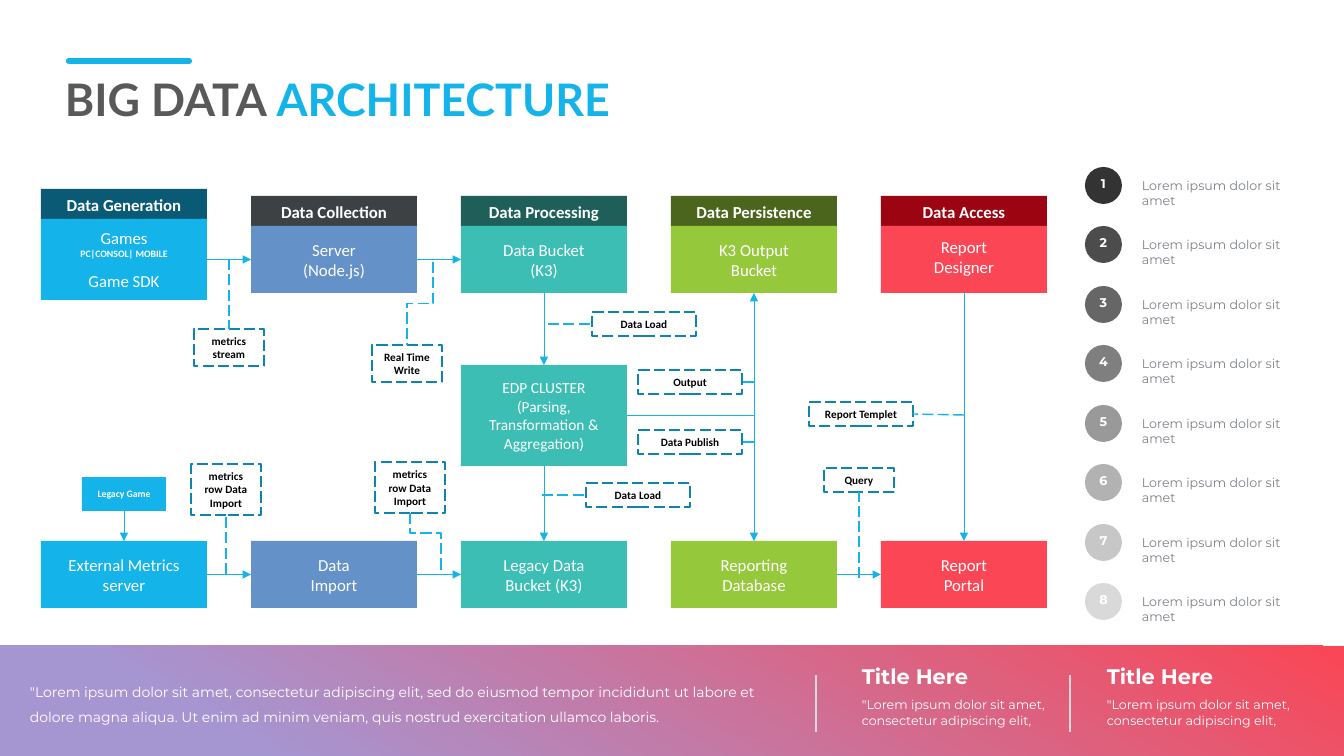
from dataclasses import dataclass

from lxml import etree
from pptx import Presentation
from pptx.dml.color import RGBColor
from pptx.enum.dml import MSO_LINE
from pptx.enum.shapes import MSO_CONNECTOR, MSO_SHAPE
from pptx.enum.text import MSO_ANCHOR, PP_ALIGN
from pptx.oxml.ns import qn
from pptx.util import Pt

RECT, OVAL = MSO_SHAPE.RECTANGLE, MSO_SHAPE.OVAL
STRAIGHT, ELBOW = MSO_CONNECTOR.STRAIGHT, MSO_CONNECTOR.ELBOW
LEFT, CENTER = PP_ALIGN.LEFT, PP_ALIGN.CENTER
MIDDLE = MSO_ANCHOR.MIDDLE
LONG_DASH = MSO_LINE.LONG_DASH
TOP_SIDE, LEFT_SIDE, BOTTOM_SIDE, RIGHT_SIDE = range(4)
EMU_PER_PX = 914400 / 100.8


@dataclass(frozen=True)
class Theme:
    heading: str = "Lato"
    diagram: str = "Calibri"
    body: str = "Montserrat"
    white: str = "FFFFFF"
    black: str = "000000"
    blue: str = "14B4EB"
    label_edge: str = "0F85AE"
    title_grey: str = "595959"
    list_grey: str = "7D8287"
    divider: str = "D9D9D9"
    red: str = "FA4655"
    lilac: str = "A596D2"
    title_size: int = 32
    footer_title: int = 15
    box_size: int = 12
    cluster_size: int = 11
    quote_size: int = 10
    small: int = 9
    label_size: int = 8
    tiny: int = 7


T = Theme()

# title, header colour, box colour, upper box, lower box
STAGES = [
    ("Data Generation", "0A5A76", T.blue, "Games\nPC|CONSOL| MOBILE\nGame SDK", "External Metrics server"),
    ("Data Collection", "3E4144", "6491C8", "Server\v(Node.js)", "Data\vImport"),
    ("Data Processing", "1E5F5A", "3CBEB4", "Data Bucket\v(K3)", "Legacy Data\vBucket (K3)"),
    ("Data Persistence", "4B651D", "96C83C", "K3 Output\vBucket", "Reporting\vDatabase"),
    ("Data Access", "9C0411", T.red, "Report\vDesigner", "Report\vPortal"),
]
# text, left, top, width, height, side the leader leaves from, far end of the leader
LABELS = [
    ("metrics\vstream", 194, 329, 70, 37, TOP_SIDE, (229, 259)),
    ("metrics\vrow Data Import", 191, 464, 70, 51, BOTTOM_SIDE, (226, 574)),
    ("Query", 824, 468, 70, 24, BOTTOM_SIDE, (859, 578)),
    ("Report Templet", 809, 402, 104, 24, RIGHT_SIDE, (964, 415)),
    ("Data Load", 592, 312, 104, 24, LEFT_SIDE, (548, 324)),
    ("Data Load", 586, 483, 104, 24, LEFT_SIDE, (542, 495)),
    ("Output", 638, 370, 104, 24, RIGHT_SIDE, (754, 382)),
    ("Data Publish", 638, 430, 104, 24, RIGHT_SIDE, (754, 442)),
]
CIRCLE_OPACITY = [80, 70, 60, 50, 40, 30, 22, 15]


def px(n):
    return round(n * EMU_PER_PX)


def rgb(color):
    return RGBColor.from_string(color)


def style_runs(p, size, color, font, bold=False):
    for r in p.runs:
        r.font.size, r.font.name, r.font.bold = Pt(size), font, bold
        r.font.color.rgb = rgb(color)


def add_text(slide, text, x, y, w, h, size, color, font=T.body, bold=False, spacing=None):
    tf = slide.shapes.add_textbox(px(x), px(y), px(w), px(h)).text_frame
    tf.word_wrap = True
    tf.text = text
    p = tf.paragraphs[0]
    p.alignment = LEFT
    p.line_spacing = spacing
    style_runs(p, size, color, font, bold)
    return p


def add_block(slide, x, y, w, h, fill=None, shape=RECT):
    sp = slide.shapes.add_shape(shape, px(x), px(y), px(w), px(h))
    sp.shadow.inherit = False
    sp.line.fill.background()
    if fill:
        sp.fill.solid()
        sp.fill.fore_color.rgb = rgb(fill)
    else:
        sp.fill.background()
    return sp


def fill_text(sp, text, size, color=T.white, font=T.diagram, bold=False, inset=0, lift=0):
    """Centre text in a shape, raised by lift px."""
    tf = sp.text_frame
    tf.word_wrap, tf.vertical_anchor = True, MIDDLE
    tf.margin_left = tf.margin_right = px(inset)
    tf.margin_top, tf.margin_bottom = px(max(0, -2 * lift)), px(max(0, 2 * lift))
    tf.text = text
    for p in tf.paragraphs:
        p.alignment = CENTER
        style_runs(p, size, color, font, bold)


def add_line(slide, start, end, color=T.blue, width=1, dash=None, kind=STRAIGHT):
    c = slide.shapes.add_connector(kind, *map(px, start + end))
    c.line.color.rgb, c.line.width = rgb(color), Pt(width)
    if dash:
        c.line.dash_style = dash
    etree.SubElement(c._element.spPr, qn("a:effectLst"))
    return c


def add_arrow(slide, source, side, target, target_side, kind=STRAIGHT):
    c = add_line(slide, (0, 0), (0, 0), width=0.5, kind=kind)
    c.begin_connect(source, side)
    c.end_connect(target, target_side)
    etree.SubElement(c.line._get_or_add_ln(), qn("a:tailEnd"), type="triangle")
    if kind == ELBOW:
        c._element.spPr.find(qn("a:prstGeom")).set("prst", "bentConnector2")


def add_step_leader(slide, start, end, bend):
    """Dashed leader running down, across at the bend (a share of the drop), then down."""
    (x1, y1), (x2, y2) = start, end
    run, drop = abs(x2 - x1), y2 - y1
    left, top = (x1 + x2 - drop) / 2, (y1 + y2 - run) / 2
    c = add_line(slide, (left, top), (left + drop, top + run), dash=LONG_DASH, kind=ELBOW)
    xfrm = c._element.spPr.find(qn("a:xfrm"))
    xfrm.set("rot", str((270 if x2 > x1 else 90) * 60000))
    if x2 > x1:
        xfrm.set("flipH", "1")
    guides = c._element.spPr.find(qn("a:prstGeom")).find(qn("a:avLst"))
    etree.SubElement(guides, qn("a:gd"), name="adj1", fmla=f"val {round(bend * 100000)}")


def add_label(slide, text, x, y, w, h):
    sp = add_block(slide, x, y, w, h)
    sp.line.color.rgb, sp.line.width = rgb(T.label_edge), Pt(1)
    sp.line.dash_style = LONG_DASH
    fill_text(sp, text, T.label_size, T.black, bold=True, inset=10)
    return sp


def add_stage(slide, column, title, dark, fill, upper_text, lower_text):
    x, w = 41 + 210 * column, 166
    top, height = (219, 81) if column == 0 else (226, 67)
    header = add_block(slide, x, top - 30, w, 30, dark)
    fill_text(header, title, T.box_size, bold=True, lift=-1)
    upper = add_block(slide, x, top, w, height, fill)
    fill_text(upper, upper_text, T.box_size, inset=20, lift=3 if column == 4 else 0)
    lower = add_block(slide, x, 541, w, 67, fill)
    fill_text(lower, lower_text, T.box_size, inset=20)
    return upper, lower


def add_diagram(slide):
    upper, lower = zip(*(add_stage(slide, i, *stage) for i, stage in enumerate(STAGES)))
    platforms, sdk = upper[0].text_frame.paragraphs[1:]
    style_runs(platforms, T.tiny, T.white, T.diagram, bold=True)
    sdk.space_before = Pt(8)
    cluster = add_block(slide, 461, 365, 166, 101, STAGES[2][2])
    fill_text(cluster, "EDP CLUSTER\v(Parsing, Transformation & Aggregation)", T.cluster_size, inset=20)
    legacy = add_block(slide, 82, 477, 84, 34, T.blue)
    fill_text(legacy, "Legacy Game", T.tiny, bold=True)

    for row, first in ((upper, 0), (upper, 1), (lower, 0), (lower, 1), (lower, 3)):
        add_arrow(slide, row[first], RIGHT_SIDE, row[first + 1], LEFT_SIDE)
    for source, target in ((legacy, lower[0]), (upper[2], cluster), (cluster, lower[2]), (upper[4], lower[4])):
        add_arrow(slide, source, BOTTOM_SIDE, target, TOP_SIDE)
    add_arrow(slide, cluster, RIGHT_SIDE, upper[3], BOTTOM_SIDE, ELBOW)
    add_arrow(slide, cluster, RIGHT_SIDE, lower[3], TOP_SIDE, ELBOW)

    for text, x, y, w, h, side, far_end in LABELS:
        label = add_label(slide, text, x, y, w, h)
        leader = add_line(slide, far_end, far_end, dash=LONG_DASH)
        leader.end_connect(label, side)
    add_label(slide, "Real Time\vWrite", 372, 345, 70, 37)
    add_step_leader(slide, (433, 262), (407, 345), 0.5)
    add_label(slide, "metrics\vrow Data Import", 375, 462, 70, 51)
    add_step_leader(slide, (410, 513), (441, 574), 0.33)


def add_numbered_list(slide):
    for i, opacity in enumerate(CIRCLE_OPACITY):
        y = 167 + i * 119 // 2
        circle = add_block(slide, 1085, y, 37, 37, T.black, OVAL)
        color = circle.fill._xPr.find(qn("a:solidFill"))[0]
        etree.SubElement(color, qn("a:alpha"), val=str(opacity * 1000))
        fill_text(circle, str(i + 1), T.small, font=T.body, bold=True, lift=2)
        add_text(slide, "Lorem ipsum dolor sit amet", 1132, y + 6, 174, 25, T.small, T.list_grey)


def add_footer(slide):
    band = add_block(slide, 0, 646, 1344, 110)
    band.fill.gradient()
    band.fill.gradient_angle = 240
    for stop, color, position in zip(band.fill.gradient_stops, (T.red, T.lilac), (0, 0.83)):
        stop.color.rgb, stop.position = rgb(color), position
    quote = ('"Lorem ipsum dolor sit amet, consectetur adipiscing elit, sed do eiusmod tempor incididunt '
             "ut labore et dolore magna aliqua. Ut enim ad minim veniam, quis nostrud exercitation "
             "ullamco laboris.")
    add_text(slide, quote, 20, 670, 789, 57, T.quote_size, T.white, spacing=1.5)
    for x, divider in ((852, 816), (1097, 1070)):
        add_text(slide, "Title Here", x, 646, 216, 43, T.footer_title, T.white, bold=True, spacing=1.5)
        add_text(slide, '"Lorem ipsum dolor sit amet, consectetur adipiscing elit,', x, 690, 212, 44,
                 T.small, T.white, spacing=Pt(12))
        add_line(slide, (divider, 675), (divider, 732), T.divider)


def add_title(slide):
    p = add_text(slide, "BIG DATA ", 55, 67, 1233, 64, T.title_size, T.title_grey, T.heading, True)
    p.add_run().text = "ARCHITECTURE"
    style_runs(p, T.title_size, T.blue, T.heading, True)
    p.runs[0].font.color.rgb = rgb(T.title_grey)
    accent = add_line(slide, (69, 61), (189, 61), width=4.5)
    accent.line._get_or_add_ln().set("cap", "rnd")


def main():
    prs = Presentation()
    prs.slide_width, prs.slide_height = px(1344), px(756)
    slide = prs.slides.add_slide(prs.slide_layouts[6])
    add_footer(slide)
    add_diagram(slide)
    add_numbered_list(slide)
    add_title(slide)
    prs.save("out.pptx")


if __name__ == "__main__":
    main()
